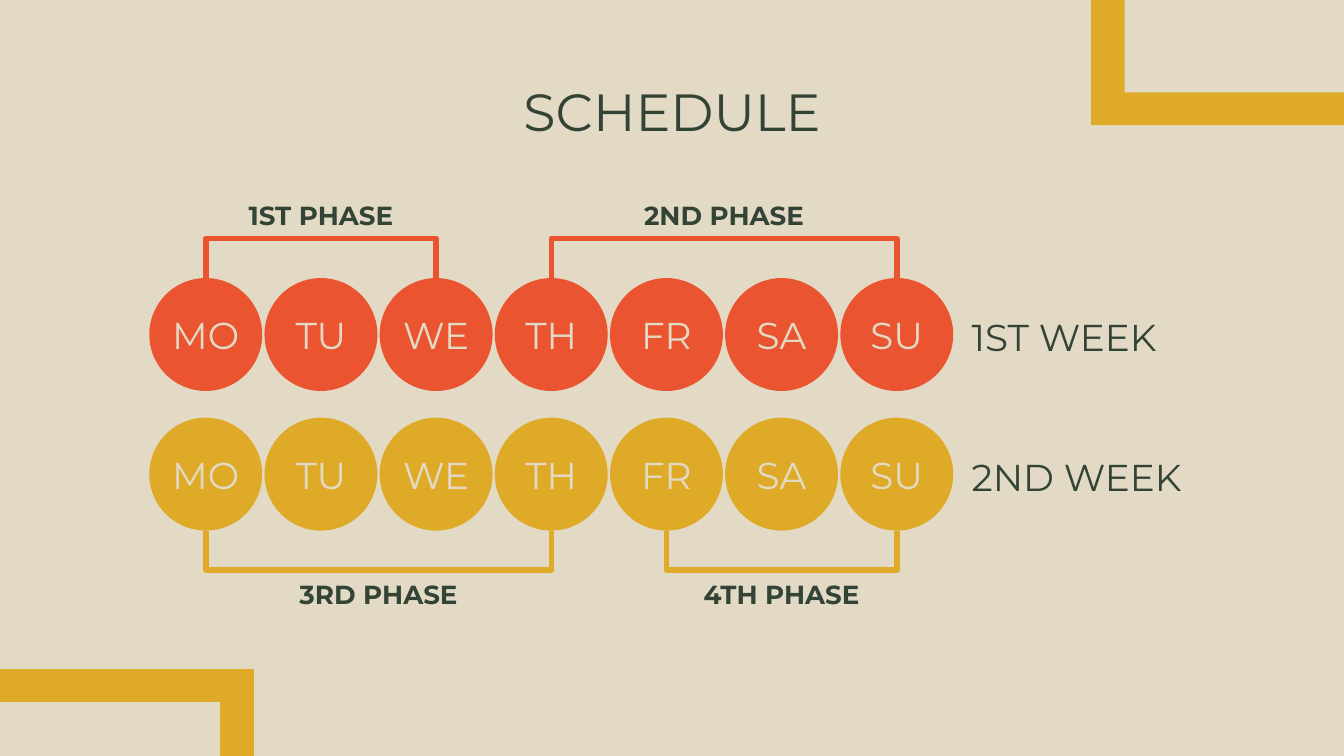
from dataclasses import dataclass

from lxml import etree
from pptx import Presentation
from pptx.dml.color import RGBColor
from pptx.enum import shapes, text
from pptx.oxml import ns
from pptx.util import Pt

COLORS = {"sand": "E3DAC5", "gold": "DFAA28", "coral": "EA5430", "green": "334436"}
FONT = "Montserrat"
SLIDE_W, SLIDE_H = 720, 405
DAYS = ["MO", "TU", "WE", "TH", "FR", "SA", "SU"]
DAY_LEFT, DAY_SIZE, DAY_PITCH = 80, 60.5, 61.7
LABEL_W, LABEL_H = 123, 31.7
BRACKET_DEPTH, BRACKET_SPAN = 18.75, 0.05


@dataclass
class Week:
    name: str
    top: float
    color: str


@dataclass
class Phase:
    name: str
    week: Week
    first: str
    last: str
    above: bool


@dataclass
class CornerFrame:
    corner_x: float
    corner_y: float
    edge_x: float
    edge_y: float


def rgb(name: str) -> RGBColor:
    return RGBColor.from_string(COLORS[name])


def day_center(day: str) -> float:
    return DAY_LEFT + DAY_SIZE / 2 + DAYS.index(day) * DAY_PITCH


def write(sp, words: str, size: float, color: str, align, anchor=text.MSO_ANCHOR.TOP,
          side: float = 7.2, bold: bool = False, after: float = 0) -> None:
    tf = sp.text_frame
    tf.text = words
    tf.word_wrap = True
    tf.auto_size = text.MSO_AUTO_SIZE.NONE
    tf.vertical_anchor = anchor
    tf.margin_left = tf.margin_right = Pt(side)
    tf.margin_top = tf.margin_bottom = Pt(7.2)
    p = tf.paragraphs[0]
    p.alignment = align
    p.space_before, p.space_after = Pt(0), Pt(after)
    r = p.runs[0]
    r.font.name, r.font.size, r.font.bold = FONT, Pt(size), bold
    r.font.color.rgb = rgb(color)


def add_frame(s, frame: CornerFrame) -> None:
    x, y, far_x, far_y = frame.corner_x, frame.corner_y, frame.edge_x, frame.edge_y
    in_x = x + (18 if far_x > x else -18)
    in_y = y + (17.5 if far_y > y else -17.5)
    outline = [(x, far_y), (x, y), (far_x, y), (far_x, in_y), (in_x, in_y), (in_x, far_y)]
    points = [(Pt(a), Pt(b)) for a, b in outline]
    builder = s.shapes.build_freeform(*points[0])
    builder.add_line_segments(points[1:], close=True)
    sp = builder.convert_to_shape()
    sp.shadow.inherit = False
    sp.fill.solid()
    sp.fill.fore_color.rgb = rgb("gold")
    sp.line.fill.background()


def add_week(s, week: Week) -> None:
    for day in DAYS:
        sp = s.shapes.add_shape(shapes.MSO_SHAPE.OVAL, Pt(day_center(day) - DAY_SIZE / 2),
                                Pt(week.top), Pt(DAY_SIZE), Pt(DAY_SIZE))
        sp.shadow.inherit = False
        sp.fill.solid()
        sp.fill.fore_color.rgb = rgb(week.color)
        sp.line.fill.background()
        write(sp, day, 20, "sand", text.PP_ALIGN.CENTER, text.MSO_ANCHOR.MIDDLE, side=0)
    sp = s.shapes.add_textbox(Pt(513.4), Pt(week.top + 12.3), Pt(132), Pt(36))
    write(sp, week.name, 20, "green", text.PP_ALIGN.LEFT)


def add_phase(s, phase: Phase) -> None:
    start, end = day_center(phase.first), day_center(phase.last)
    middle, half = (start + end) / 2, (end - start) / 2
    y = phase.week.top + (0 if phase.above else DAY_SIZE)

    # Elbow connector turned a quarter, so its middle leg runs across the days
    cxn = s.shapes.add_connector(shapes.MSO_CONNECTOR.ELBOW, Pt(middle), Pt(y - half),
                                 Pt(middle + BRACKET_SPAN), Pt(y + half))
    cxn.line.color.rgb = rgb(phase.week.color)
    cxn.line.width = Pt(3)
    props = cxn._element.spPr
    props.find(ns.qn("a:xfrm")).set("rot", "5400000")
    geom = props.find(ns.qn("a:prstGeom"))
    guides = geom.find(ns.qn("a:avLst"))
    if guides is None:
        guides = etree.SubElement(geom, ns.qn("a:avLst"))
    depth = -BRACKET_DEPTH if phase.above else BRACKET_DEPTH
    etree.SubElement(guides, ns.qn("a:gd"), name="adj1",
                     fmla=f"val {round(depth / BRACKET_SPAN * 100000)}")
    etree.SubElement(props, ns.qn("a:effectLst"))

    top = y - 49.6 if phase.above else y + 18.2
    sp = s.shapes.add_textbox(Pt(middle - LABEL_W / 2), Pt(top), Pt(LABEL_W), Pt(LABEL_H))
    write(sp, phase.name, 14, "green", text.PP_ALIGN.CENTER, bold=True, after=16)


def main() -> None:
    prs = Presentation()
    prs.slide_width, prs.slide_height = Pt(SLIDE_W), Pt(SLIDE_H)
    s = prs.slides.add_slide(prs.slide_layouts[5])
    s.background.fill.solid()
    s.background.fill.fore_color.rgb = rgb("sand")

    # Corner decoration
    add_frame(s, CornerFrame(136, 358.5, 0, SLIDE_H))
    add_frame(s, CornerFrame(584.5, 67, SLIDE_W, 0))

    # Title
    title = s.shapes.title
    title.left, title.top, title.width, title.height = Pt(56.7), Pt(35.4), Pt(606.6), Pt(45.2)
    write(title, "SCHEDULE", 28, "green", text.PP_ALIGN.CENTER)

    # Weeks and the phases that span them
    first = Week("1ST WEEK", 149, "coral")
    second = Week("2ND WEEK", 223.8, "gold")
    for week in (first, second):
        add_week(s, week)
    for phase in (
        Phase("1ST PHASE", first, "MO", "WE", True),
        Phase("2ND PHASE", first, "TH", "SU", True),
        Phase("3RD PHASE", second, "MO", "TH", False),
        Phase("4TH PHASE", second, "FR", "SU", False),
    ):
        add_phase(s, phase)

    prs.save("out.pptx")


if __name__ == "__main__":
    main()
